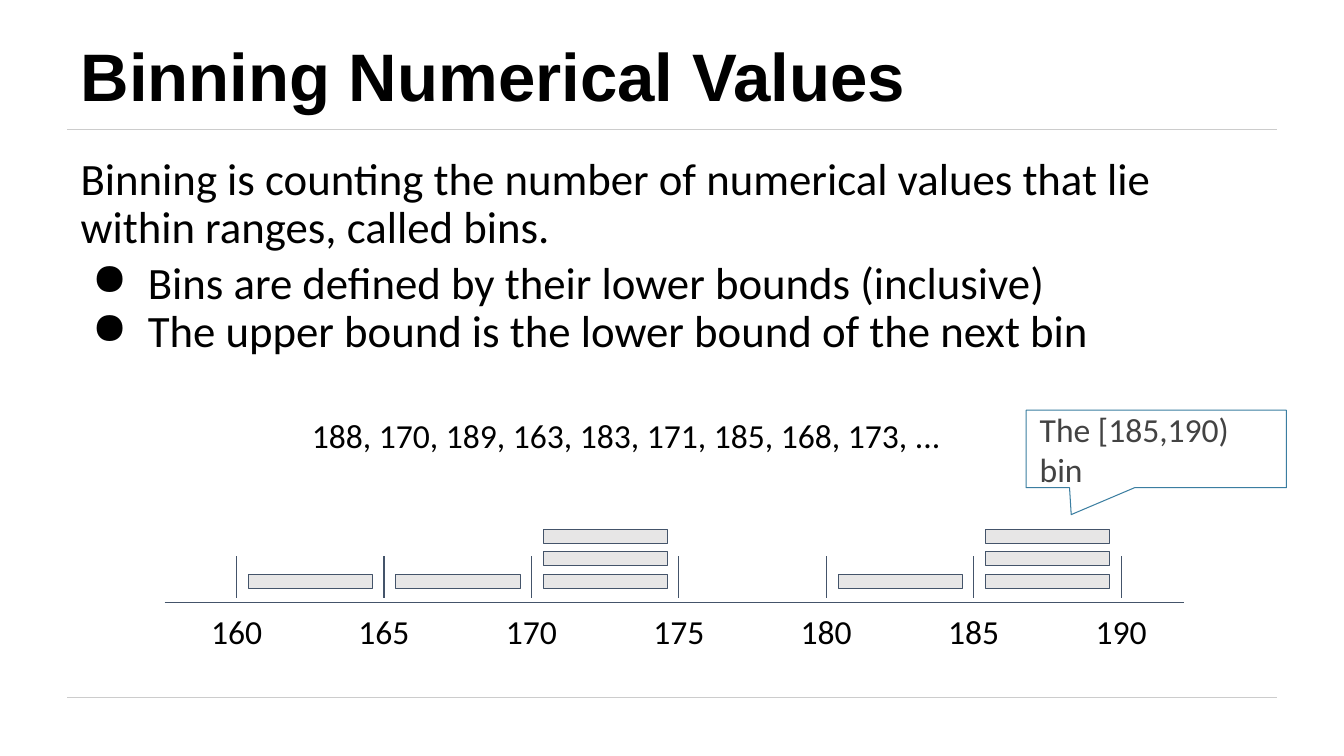
from lxml import etree
from pptx import Presentation
from pptx.dml.color import RGBColor
from pptx.enum.shapes import MSO_CONNECTOR, MSO_SHAPE
from pptx.enum.text import MSO_ANCHOR, PP_ALIGN
from pptx.oxml.ns import qn
from pptx.util import Pt

BLACK = RGBColor(0x00, 0x00, 0x00)
WHITE = RGBColor(0xFF, 0xFF, 0xFF)
DARK_GRAY = RGBColor(0x43, 0x43, 0x43)
RULE_GRAY = RGBColor(0xCC, 0xCC, 0xCC)
BAR_GRAY = RGBColor(0xE7, 0xE6, 0xE6)
SLATE = RGBColor(0x44, 0x54, 0x6A)
BLUE = RGBColor(0x3B, 0x7E, 0xA1)

STRAIGHT = MSO_CONNECTOR.STRAIGHT
RECT = MSO_SHAPE.RECTANGLE
CALLOUT = MSO_SHAPE.ROUNDED_RECTANGULAR_CALLOUT
LEFT, CENTER = PP_ALIGN.LEFT, PP_ALIGN.CENTER
TOP, MIDDLE, BOTTOM = MSO_ANCHOR.TOP, MSO_ANCHOR.MIDDLE, MSO_ANCHOR.BOTTOM

TITLE = "Binning Numerical Values"
INTRO = ("Binning is counting the number of numerical values that lie "
         "within ranges, called bins.")
BULLETS = ["Bins are defined by their lower bounds (inclusive)",
           "The upper bound is the lower bound of the next bin"]
VALUES = "188, 170, 189, 163, 183, 171, 185, 168, 173, ..."
CALLOUT_TEXT = "The [185,190) bin"
BOUNDS = [160, 165, 170, 175, 180, 185, 190]
COUNTS = [1, 1, 3, 0, 1, 3]  # one per bin

INSET = 9.6
RULE_LEFT, RULE_RIGHT = 48, 912
RULE_YS = [92.8, 498.2]
AXIS_Y, AXIS_LEFT, AXIS_RIGHT = 430.4, 117.6, 846
TICK_X, TICK_STEP = 169, 105.3
TICK_TOP, TICK_BOTTOM = 397.2, 427
LABEL_W, LABEL_H = 80.6, 55.4
BAR_W, BAR_H, BAR_GAP = 88.8, 10.2, 8.4
BAR_Y, BAR_STEP = 410.2, 16.1


def set_frame(tf, anchor):
    tf.word_wrap = True
    tf.vertical_anchor = anchor
    tf.margin_left = tf.margin_right = Pt(INSET)
    tf.margin_top = tf.margin_bottom = Pt(INSET)


def write(p, text, size, font="Calibri", color=BLACK, bold=False, align=LEFT):
    p.alignment = align
    r = p.add_run()
    r.text = text
    r.font.size, r.font.name, r.font.bold = Pt(size), font, bold
    r.font.color.rgb = color


def add_bullet(p):
    pPr = p._p.get_or_add_pPr()
    pPr.set("marL", str(Pt(48)))
    pPr.set("indent", str(-Pt(40)))
    etree.SubElement(pPr, qn("a:buChar")).set("char", "●")


def add_text(slide, x, y, w, h, anchor=TOP):
    tf = slide.shapes.add_textbox(Pt(x), Pt(y), Pt(w), Pt(h)).text_frame
    set_frame(tf, anchor)
    return tf


def add_line(slide, x1, y1, x2, y2, color):
    line = slide.shapes.add_connector(STRAIGHT, Pt(x1), Pt(y1), Pt(x2), Pt(y2))
    line.line.color.rgb = color
    line.line.width = Pt(0.75)
    etree.SubElement(line._element.spPr, qn("a:effectLst"))


def add_box(slide, kind, x, y, w, h, fill, outline):
    sp = slide.shapes.add_shape(kind, Pt(x), Pt(y), Pt(w), Pt(h))
    sp.shadow.inherit = False
    sp.fill.solid()
    sp.fill.fore_color.rgb = fill
    sp.line.color.rgb = outline
    sp.line.width = Pt(0.75)
    return sp


def add_heading_and_body(slide):
    for y in RULE_YS:
        add_line(slide, RULE_LEFT, y, RULE_RIGHT, y, RULE_GRAY)

    p = add_text(slide, RULE_LEFT, 21.6, 704, 71.2, BOTTOM).paragraphs[0]
    p.line_spacing = 0.9
    write(p, TITLE, 48, font="Arial", bold=True)

    tf = add_text(slide, RULE_LEFT, 102.2, RULE_RIGHT - RULE_LEFT, 182.2)
    write(tf.paragraphs[0], INTRO, 32)
    for i, text in enumerate(BULLETS):
        p = tf.add_paragraph()
        p.space_before = Pt(0 if i else 5.3)
        write(p, text, 32)
    for p in tf.paragraphs:
        p.line_spacing = 0.9
    for p in tf.paragraphs[1:]:
        add_bullet(p)

    p = add_text(slide, 96.5, 286.6, 702, LABEL_H).paragraphs[0]
    write(p, VALUES, 24, align=CENTER)


def add_histogram(slide):
    add_line(slide, AXIS_LEFT, AXIS_Y, AXIS_RIGHT, AXIS_Y, SLATE)
    ticks = [TICK_X + i * TICK_STEP for i in range(len(BOUNDS))]
    for x, bound in zip(ticks, BOUNDS):
        add_line(slide, x, TICK_BOTTOM, x, TICK_TOP, SLATE)
        tf = add_text(slide, x - LABEL_W / 2, TICK_BOTTOM, LABEL_W, LABEL_H)
        write(tf.paragraphs[0], str(bound), 24, align=CENTER)
    for x, count in zip(ticks, COUNTS):
        for level in range(count):
            add_box(slide, RECT, x + BAR_GAP, BAR_Y - level * BAR_STEP,
                    BAR_W, BAR_H, BAR_GRAY, SLATE)


def add_callout(slide):
    sp = add_box(slide, CALLOUT, 733, 293, 185.8, 55.4, WHITE, BLUE)
    for i, value in enumerate([-0.327, 0.847, 0]):
        sp.adjustments[i] = value
    set_frame(sp.text_frame, MIDDLE)
    write(sp.text_frame.paragraphs[0], CALLOUT_TEXT, 24, color=DARK_GRAY)


def main():
    prs = Presentation()
    prs.slide_width, prs.slide_height = Pt(960), Pt(540)
    slide = prs.slides.add_slide(prs.slide_layouts[6])
    add_heading_and_body(slide)
    add_histogram(slide)
    add_callout(slide)
    prs.save("out.pptx")


if __name__ == "__main__":
    main()
